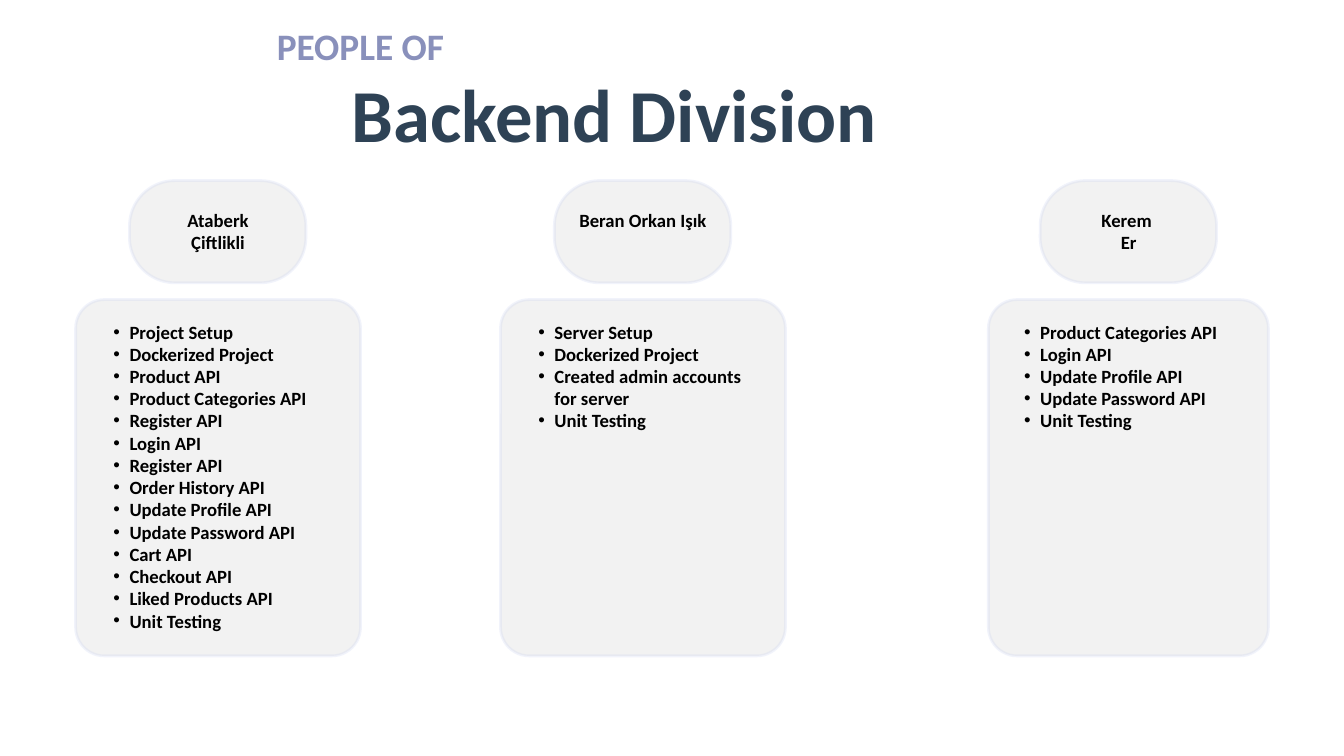
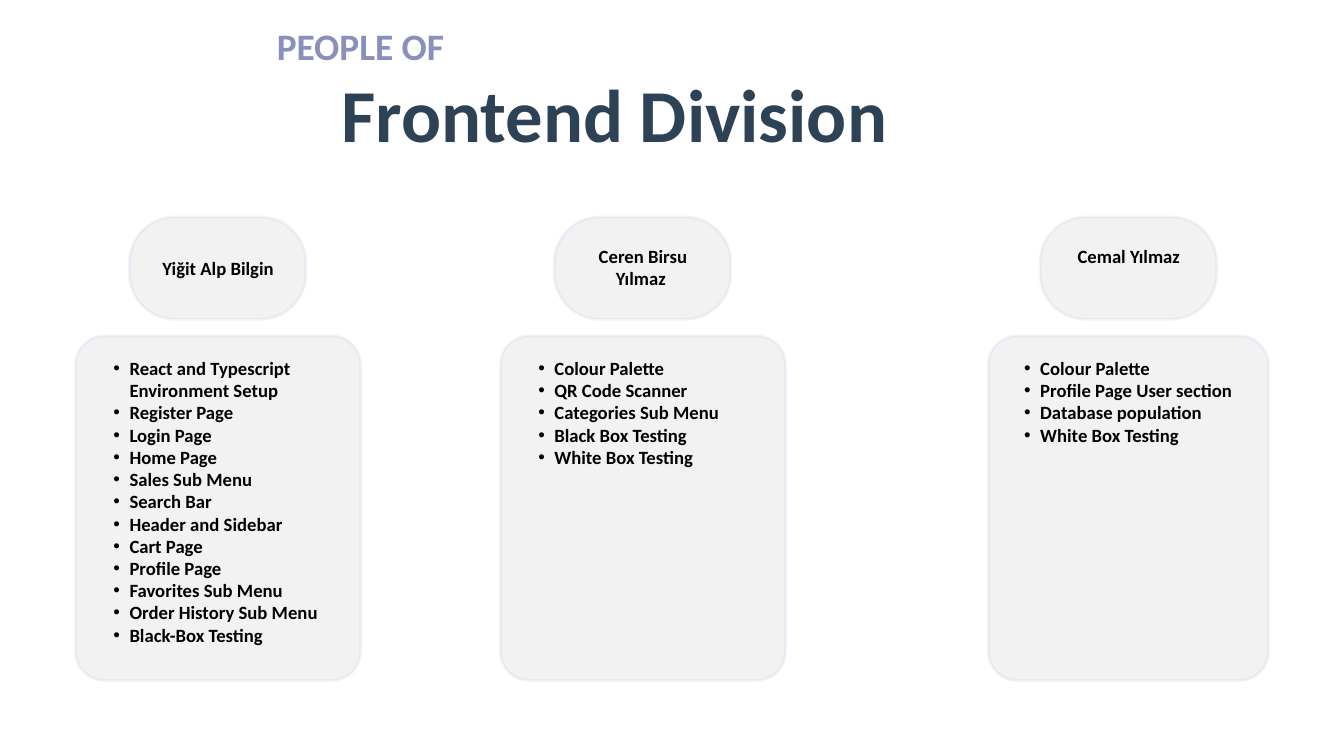
from dataclasses import dataclass

from lxml import etree
from pptx import Presentation
from pptx.dml.color import RGBColor
from pptx.enum import shapes, text
from pptx.oxml.ns import qn
from pptx.util import Emu, Pt

PX = 9525  # EMU per px, 96 px to the inch


@dataclass(frozen=True)
class TextStyle:
    size: int
    spacing: float
    color: str


@dataclass(frozen=True)
class Theme:
    font: str = "Calibri"
    panel: str = "F2F2F2"
    outline: str = "CAD3F0"
    outline_opacity: int = 25
    outline_width: int = 3
    kicker: TextStyle = TextStyle(40, 52, "8990BB")
    title: TextStyle = TextStyle(80, 104, "2E4255")
    body: TextStyle = TextStyle(20, 23.8, "000000")


@dataclass(frozen=True)
class Person:
    name: tuple
    tasks: tuple
    name_offset: int = 40
    name_height: int = 62


# Geometry shared by both slides, in px
COLUMNS = ((108, 407), (715, 407), (1412, 400))  # left and width of each card
BADGE_WIDTH, BADGE_HEIGHT, BADGE_RADIUS = 252, 146, 65
NAME_WIDTH = 195
CARD_RADIUS = 41
CARD_DROP = 170  # from badge top to card top
LIST_WIDTH, LIST_DROP = 342, 30
LINE_HEIGHT = 31
BULLET_MARGIN, BULLET_HANG = 45, 23


class Deck:
    def __init__(self, theme):
        self.theme = theme
        self.presentation = Presentation()
        self.presentation.slide_width = Emu(1920 * PX)
        self.presentation.slide_height = Emu(1080 * PX)
        self.slide = None

    def add_slide(self):
        self.slide = self.presentation.slides.add_slide(self.presentation.slide_layouts[6])

    def panel(self, left, top, width, height, radius):
        box = [Emu(value * PX) for value in (left, top, width, height)]
        shape = self.slide.shapes.add_shape(shapes.MSO_SHAPE.ROUNDED_RECTANGLE, *box)
        shape.adjustments[0] = radius / min(width, height)
        shape.shadow.inherit = False
        shape.fill.solid()
        shape.fill.fore_color.rgb = RGBColor.from_string(self.theme.panel)
        shape.line.width = Pt(self.theme.outline_width)
        shape.line.color.rgb = RGBColor.from_string(self.theme.outline)
        color = shape.line._get_or_add_ln().find(".//" + qn("a:srgbClr"))
        etree.SubElement(color, qn("a:alpha"), val=str(self.theme.outline_opacity * 1000))

    def text(self, left, top, width, height, lines, style, bullets=False):
        box = [Emu(value * PX) for value in (left, top, width, height)]
        frame = self.slide.shapes.add_textbox(*box).text_frame
        frame.word_wrap = True
        frame.auto_size = text.MSO_AUTO_SIZE.SHAPE_TO_FIT_TEXT
        frame.margin_left = frame.margin_right = frame.margin_top = frame.margin_bottom = 0
        for index, line in enumerate(lines):
            paragraph = frame.add_paragraph() if index else frame.paragraphs[0]
            paragraph.line_spacing = Pt(style.spacing)
            if bullets:
                self.bullet(paragraph)
            else:
                paragraph.alignment = text.PP_ALIGN.CENTER
            run = paragraph.add_run()
            run.text = line
            run.font.name = self.theme.font
            run.font.size = Pt(style.size)
            run.font.bold = True
            run.font.color.rgb = RGBColor.from_string(style.color)

    def bullet(self, paragraph):
        paragraph.level = 1
        properties = paragraph._p.get_or_add_pPr()
        properties.set("marL", str(BULLET_MARGIN * PX))
        properties.set("indent", str(-BULLET_HANG * PX))
        etree.SubElement(properties, qn("a:buFont"), typeface="Arial")
        etree.SubElement(properties, qn("a:buChar"), char="•")

    def heading(self, title):
        self.text(124, 28, 782, 67, ["PEOPLE OF"], self.theme.kicker)
        self.text(381, 86, 994, 136, [title], self.theme.title)

    def person(self, person, column, top, card_height):
        left, width = column
        center = left + width // 2
        card_top = top + CARD_DROP
        self.panel(center - BADGE_WIDTH // 2, top, BADGE_WIDTH, BADGE_HEIGHT, BADGE_RADIUS)
        self.text(center - NAME_WIDTH // 2, top + person.name_offset, NAME_WIDTH,
                  person.name_height, person.name, self.theme.body)
        self.panel(left, card_top, width, card_height, CARD_RADIUS)
        self.text(center - LIST_WIDTH // 2, card_top + LIST_DROP, LIST_WIDTH,
                  len(person.tasks) * LINE_HEIGHT, person.tasks, self.theme.body, bullets=True)

    def division(self, title, people, top, card_height):
        self.add_slide()
        for person, column in zip(people, COLUMNS):
            self.person(person, column, top, card_height)
        self.heading(title)


BACKEND = (
    Person(("Ataberk", "Çiftlikli"), (
        "Project Setup", "Dockerized Project", "Product API", "Product Categories API",
        "Register API", "Login API", "Register API", "Order History API",
        "Update Profile API", "Update Password API", "Cart API", "Checkout API",
        "Liked Products API", "Unit Testing")),
    Person(("Beran Orkan Işık",), (
        "Server Setup", "Dockerized Project", "Created admin accounts for server",
        "Unit Testing")),
    Person(("Kerem ", "Er"), (
        "Product Categories API", "Login API", "Update Profile API",
        "Update Password API", "Unit Testing")),
)

FRONTEND = (
    Person(("Yiğit Alp Bilgin",), (
        "React and Typescript Environment Setup", "Register Page", "Login Page",
        "Home Page", "Sales Sub Menu", "Search Bar", "Header and Sidebar", "Cart Page",
        "Profile Page", "Favorites Sub Menu", "Order History Sub Menu",
        "Black-Box Testing"), name_offset=57, name_height=31),
    Person(("Ceren Birsu Yılmaz ",), (
        "Colour Palette", "QR Code Scanner", "Categories Sub Menu", "Black Box Testing",
        "White Box Testing")),
    Person(("Cemal Yılmaz",), (
        "Colour Palette", "Profile Page User section", "Database population",
        "White Box Testing"), name_height=31),
)


def main():
    deck = Deck(Theme())
    deck.division("Backend Division", BACKEND, top=258, card_height=509)
    deck.division("Frontend Division", FRONTEND, top=310, card_height=492)
    deck.presentation.save("out.pptx")


if __name__ == "__main__":
    main()
